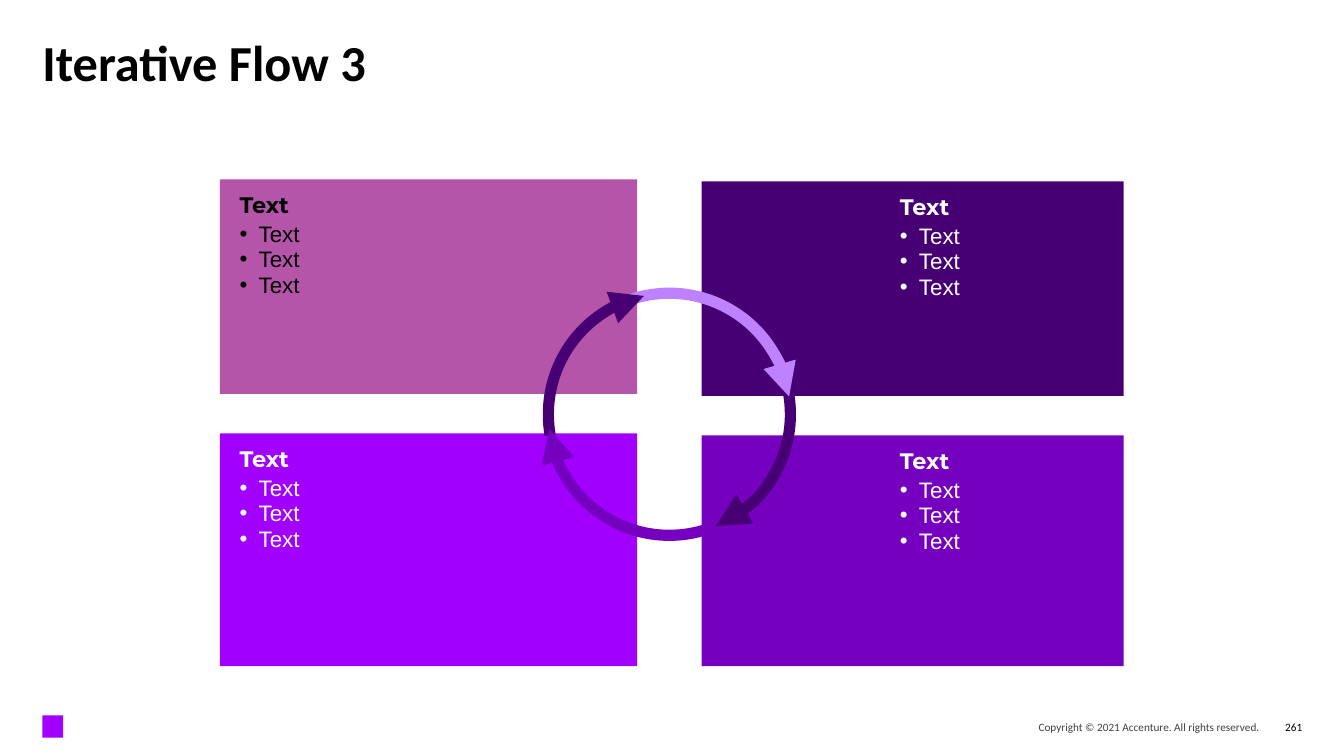
from dataclasses import dataclass

from lxml import etree
from pptx import Presentation
from pptx.dml.color import RGBColor
from pptx.enum.shapes import MSO_SHAPE as SHAPE
from pptx.enum.text import MSO_ANCHOR as ANCHOR, PP_ALIGN as ALIGN
from pptx.oxml.ns import qn
from pptx.util import Cm, Pt


@dataclass(frozen=True)
class Theme:
    black: str = "000000"
    white: str = "FFFFFF"
    gray: str = "404040"
    pink: str = "B455AA"
    deep: str = "460073"
    bright: str = "A100FF"
    purple: str = "7500C0"
    lilac: str = "BE82FF"
    title_font: str = "Calibri"
    heading_font: str = "Montserrat"
    body_font: str = "Arial"
    title_size: int = 36
    body_size: int = 16
    footer_size: int = 8
    ring_width: int = 8


THEME = Theme()


def style(p, font, size, color, bold=False):
    for r in p.runs:
        r.font.name = font
        r.font.size = Pt(size)
        r.font.bold = bold
        r.font.color.rgb = RGBColor.from_string(color)


def set_insets(tf, left, top, right, bottom):
    tf.margin_left, tf.margin_top = Cm(left), Cm(top)
    tf.margin_right, tf.margin_bottom = Cm(right), Cm(bottom)


def add_plain_shape(slide, kind, box, fill):
    s = slide.shapes.add_shape(kind, *map(Cm, box))
    s.shadow.inherit = False
    s.fill.solid()
    s.fill.fore_color.rgb = RGBColor.from_string(fill)
    s.line.fill.background()
    return s


def add_label(slide, box, text, size, color, bold=False, align=ALIGN.LEFT,
              anchor=ANCHOR.TOP, wrap=True):
    tf = slide.shapes.add_textbox(*map(Cm, box)).text_frame
    tf.word_wrap = wrap
    tf.vertical_anchor = anchor
    set_insets(tf, 0, 0, 0, 0)
    p = tf.paragraphs[0]
    p.text = text
    p.alignment = align
    style(p, THEME.title_font, size, color, bold)
    return p


def add_bullet(p):
    pPr = p._p.get_or_add_pPr()
    pPr.set("marL", str(Cm(0.48)))
    pPr.set("indent", str(-Cm(0.48)))
    etree.SubElement(pPr, qn("a:buFont")).set("typeface", THEME.body_font)
    etree.SubElement(pPr, qn("a:buChar")).set("char", "•")


def add_card(slide, box, fill, color, inset):
    s = add_plain_shape(slide, SHAPE.RECTANGLE, box, fill)
    tf = s.text_frame
    tf.word_wrap = True
    tf.vertical_anchor = ANCHOR.TOP
    set_insets(tf, inset, 0.41, 0.2, 0.2)
    tf.text = "\n".join(["Text"] * 4)
    for i, p in enumerate(tf.paragraphs):
        p.alignment = ALIGN.LEFT
        p.line_spacing = 0.85
        if i == 0:
            p.space_after = Pt(3)
            style(p, THEME.heading_font, THEME.body_size, color, True)
        else:
            add_bullet(p)
            p.space_before = p.space_after = Pt(1)
            style(p, THEME.body_font, THEME.body_size, color)


def add_cards(slide, left, top):
    right = left + 12.14
    lower = top + 6.4
    cards = [
        ((left, top, 10.52, 5.41), THEME.pink, THEME.black, 0.5),
        ((right, top + 0.05, 10.64, 5.41), THEME.deep, THEME.white, 5),
        ((left, lower, 10.52, 5.87), THEME.bright, THEME.white, 0.5),
        ((right, lower + 0.05, 10.64, 5.82), THEME.purple, THEME.white, 5),
    ]
    for card in cards:
        add_card(slide, *card)


def add_ring(slide, box):
    arcs = [
        (337.92, 67.37, THEME.deep),
        (251.6, 351.58, THEME.lilac),
        (169.99, 257.85, THEME.deep),
        (70.75, 173.06, THEME.purple),
    ]
    for start, end, color in arcs:
        s = slide.shapes.add_shape(SHAPE.ARC, *map(Cm, box))
        s.shadow.inherit = False
        s.fill.background()
        for i, degrees in enumerate((start, end)):
            s.adjustments[i] = degrees * 0.6
        s.line.width = Pt(THEME.ring_width)
        s.line.color.rgb = RGBColor.from_string(color)
        ln = s._element.spPr.find(qn("a:ln"))
        etree.SubElement(ln, qn("a:tailEnd")).set("type", "triangle")


def add_footer(slide, left, top, width):
    height = 0.56
    right = left + width
    add_plain_shape(slide, SHAPE.RECTANGLE, (left, top, 0.52, height), THEME.bright)
    p = add_label(slide, (right - 12.5, top, 11.43, height),
                  "Copyright © 2021 Accenture. All rights reserved.",
                  THEME.footer_size, THEME.gray, align=ALIGN.RIGHT, anchor=ANCHOR.MIDDLE)
    p.space_after = Pt(12)
    add_label(slide, (right - 0.92, top, 0.92, height), "261", THEME.footer_size,
              THEME.black, align=ALIGN.RIGHT, anchor=ANCHOR.MIDDLE, wrap=False)


def add_flow_slide(prs):
    slide = prs.slides.add_slide(prs.slide_layouts[6])
    title = add_label(slide, (1.07, 1.07, 31.75, 2.24), "Iterative Flow 3",
                      THEME.title_size, THEME.black, bold=True)
    title.line_spacing = 0.8
    add_cards(slide, 5.54, 4.52)
    add_ring(slide, (13.82, 7.39, 6.1, 6.1))
    add_footer(slide, 1.07, 18.03, 31.75)


def main():
    prs = Presentation()
    prs.slide_width, prs.slide_height = Cm(33.87), Cm(19.05)
    add_flow_slide(prs)
    prs.save("out.pptx")


if __name__ == "__main__":
    main()
